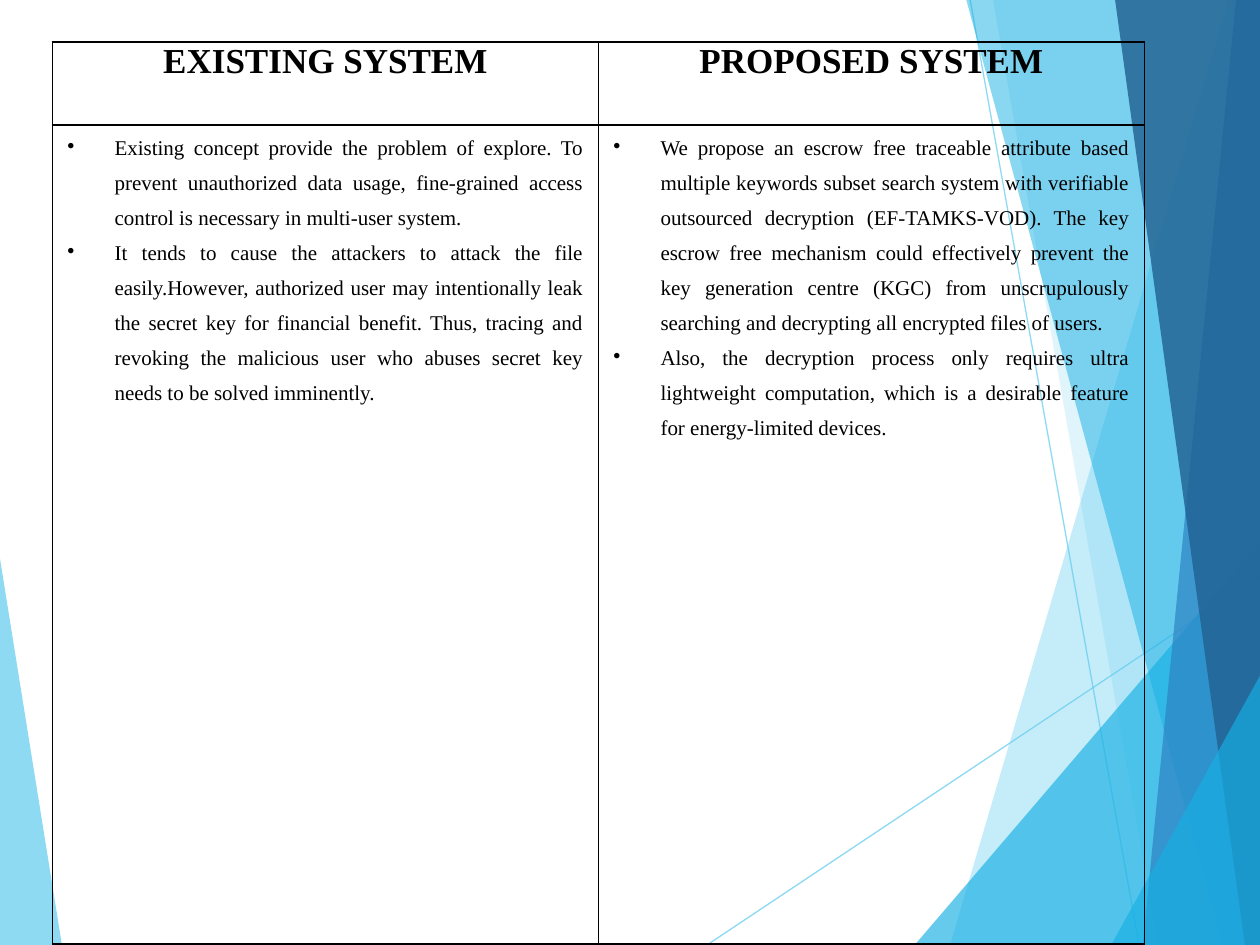
from lxml import etree
from pptx import Presentation
from pptx.dml.color import RGBColor
from pptx.enum.shapes import MSO_CONNECTOR
from pptx.enum.text import PP_ALIGN
from pptx.oxml.ns import qn
from pptx.util import Pt

STRAIGHT = MSO_CONNECTOR.STRAIGHT
CENTER, JUSTIFY = PP_ALIGN.CENTER, PP_ALIGN.JUSTIFY

BLACK = RGBColor(0x00, 0x00, 0x00)
SKY = RGBColor(0x5F, 0xCB, 0xEF)
CYAN = RGBColor(0x17, 0xB0, 0xE4)
BLUE = RGBColor(0x2E, 0x83, 0xC3)
NAVY = RGBColor(0x22, 0x62, 0x92)
FONT = "Times New Roman"

SYSTEMS = [
    ("EXISTING SYSTEM", [
        "Existing concept provide the problem of explore. To prevent unauthorized data "
        "usage, fine-grained access control is necessary in multi-user system.",
        "It tends to cause the attackers to attack the file easily.However, authorized "
        "user may intentionally leak the secret key for financial benefit. Thus, tracing "
        "and revoking the malicious user who abuses secret key needs to be solved "
        "imminently.",
    ]),
    ("PROPOSED SYSTEM", [
        "We propose an escrow free traceable attribute based multiple keywords subset "
        "search system with verifiable outsourced decryption (EF-TAMKS-VOD). The key "
        "escrow free mechanism could effectively prevent the key generation centre (KGC) "
        "from unscrupulously searching and decrypting all encrypted files of users.",
        "Also, the decryption process only requires ultra lightweight computation, which "
        "is a desirable feature for energy-limited devices.",
    ]),
]


def set_alpha(fill_parent, percent):
    color = next(fill_parent.iter(qn("a:srgbClr")))
    etree.SubElement(color, qn("a:alpha")).set("val", str(percent * 1000))


def add_facet(s, left, top, points, color, alpha):
    """Draw a translucent polygon whose points are offsets from left, top."""
    pts = [(Pt(left + x), Pt(top + y)) for x, y in points]
    builder = s.shapes.build_freeform(*pts[0])
    builder.add_line_segments(pts[1:], close=True)
    sp = builder.convert_to_shape()
    sp.shadow.inherit = False
    sp.fill.solid()
    sp.fill.fore_color.rgb = color
    sp.line.fill.background()
    set_alpha(sp._element.spPr, alpha)


def add_ray(s, left, top, start, end):
    ends = [Pt(v) for x, y in (start, end) for v in (left + x, top + y)]
    ray = s.shapes.add_connector(STRAIGHT, *ends)
    ray.line.color.rgb = SKY
    ray.line.width = Pt(0.75)
    sp_pr = ray._element.spPr
    set_alpha(sp_pr, 70)
    etree.SubElement(sp_pr, qn("a:effectLst"))


def add_left_facet(s, left, top, width, height):
    add_facet(s, left, top, [(0, 0), (width, height), (0, height)], SKY, 70)


def add_right_facets(s, left, top, width, height):
    add_ray(s, left, top, (0, height), (width, 329))
    add_ray(s, left, top, (150.4, 0), (246.9, height))
    w, h = width, height
    for points, color, alpha in [
        ([(298, 0), (138.9, h), (w, h), (w, 0)], SKY, 36),
        ([(163.4, 0), (257.7, h), (w, h), (w, 0)], SKY, 20),
        ([(118.7, h), (w, 308.9), (w, h)], CYAN, 66),
        ([(148.2, 0), (294.4, h), (w, h), (w, 0)], CYAN, 50),
        ([(302.3, 0), (249, h), (w, h), (w, 0)], BLUE, 70),
        ([(233.2, 0), (307.4, h), (w, h), (w, 0)], NAVY, 82),
        ([(231, h), (w, 385.2), (w, h)], CYAN, 66),
    ]:
        add_facet(s, left, top, points, color, alpha)


def style_cell(cell, margin):
    """Clear the fill, set the side margins and draw a black border."""
    cell.fill.background()
    cell.margin_left = cell.margin_right = Pt(margin)
    cell.margin_top = cell.margin_bottom = Pt(0)
    tc_pr = cell._tc.get_or_add_tcPr()
    for i, side in enumerate(("lnL", "lnR", "lnT", "lnB")):
        ln = etree.Element(qn(f"a:{side}"), w=str(Pt(1)))
        fill = etree.SubElement(ln, qn("a:solidFill"))
        etree.SubElement(fill, qn("a:srgbClr")).set("val", str(BLACK))
        tc_pr.insert(i, ln)


def add_text(p, text, size, bold):
    r = p.add_run()
    r.text = text
    r.font.name = FONT
    r.font.size = Pt(size)
    r.font.bold = bold
    r.font.color.rgb = BLACK


def fill_heading(cell, text):
    style_cell(cell, 5)
    p = cell.text_frame.paragraphs[0]
    p.alignment = CENTER
    p.space_after = Pt(6)
    add_text(p, text, 20, True)


def fill_bullets(cell, items):
    style_cell(cell, 8.5)
    tf = cell.text_frame
    for i, item in enumerate(items):
        p = tf.add_paragraph() if i else tf.paragraphs[0]
        p_pr = p._p.get_or_add_pPr()
        p_pr.set("marL", str(Pt(27)))
        p_pr.set("indent", str(-Pt(27)))
        etree.SubElement(p_pr, qn("a:buChar")).set("char", "•")
        p.alignment = JUSTIFY
        p.line_spacing = 1.5
        add_text(p, item, 12, False)


def add_comparison(s, left, top, width, height):
    heading_height = 47.5
    frame = s.shapes.add_table(2, len(SYSTEMS), Pt(left), Pt(top), Pt(width), Pt(height))
    table = frame.table
    table.first_row = table.horz_banding = False
    table.rows[0].height = Pt(heading_height)
    table.rows[1].height = Pt(height - heading_height)
    for col, (heading, items) in enumerate(SYSTEMS):
        table.columns[col].width = Pt(width / len(SYSTEMS))
        fill_heading(table.cell(0, col), heading)
        fill_bullets(table.cell(1, col), items)


def main():
    prs = Presentation()
    prs.slide_width, prs.slide_height = Pt(720), Pt(540)
    s = prs.slides.add_slide(prs.slide_layouts[6])
    add_left_facet(s, -0.5, 316, 36, 224.5)
    add_right_facets(s, 404, 0, 316.5, 540)
    add_comparison(s, 30, 24, 624, 515.5)
    prs.save("out.pptx")


if __name__ == "__main__":
    main()
